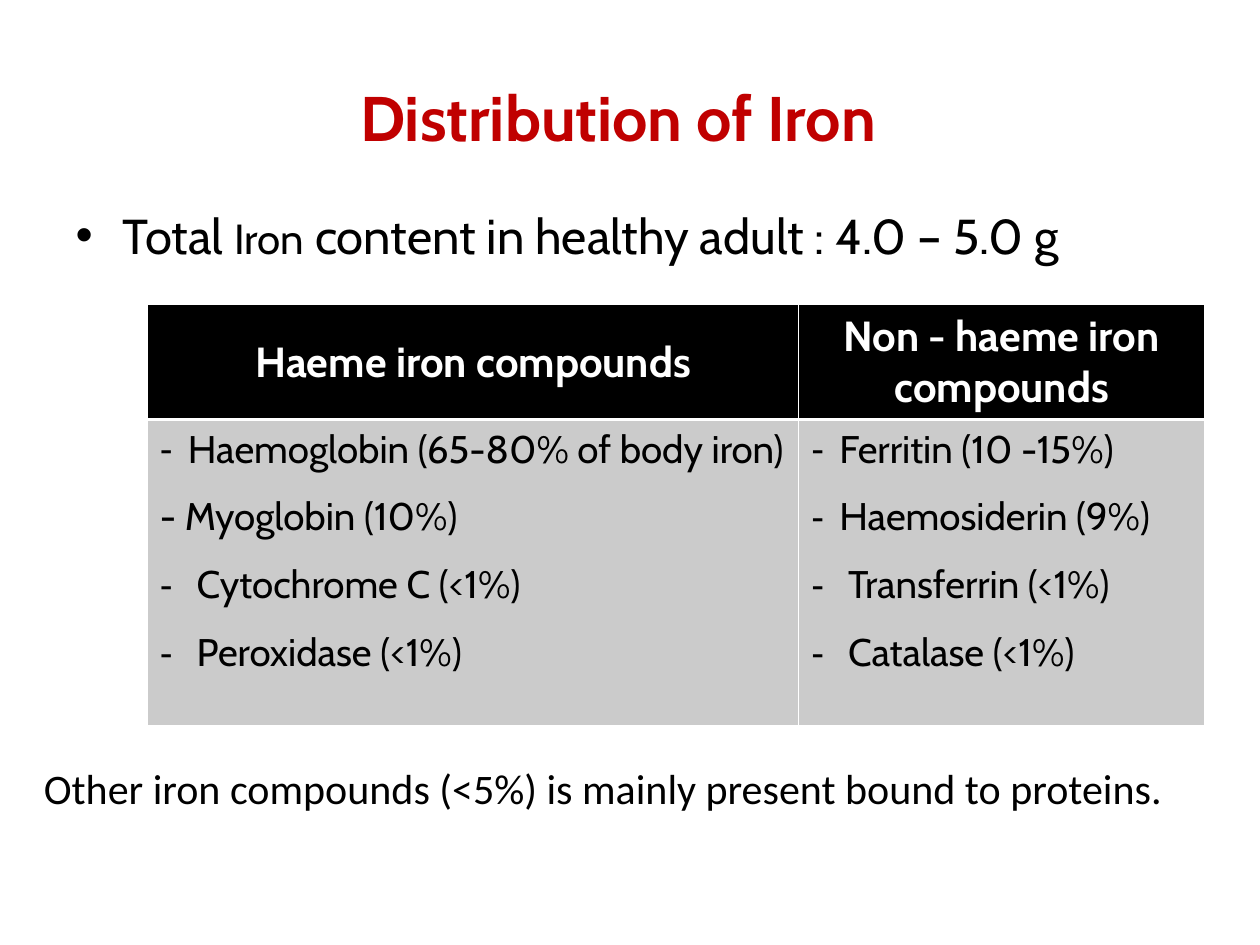
from lxml import etree
from pptx import Presentation
from pptx.dml.color import RGBColor
from pptx.enum.text import MSO_ANCHOR, MSO_AUTO_SIZE, PP_ALIGN
from pptx.oxml.ns import qn
from pptx.util import Pt

CENTER, LEFT = PP_ALIGN.CENTER, PP_ALIGN.LEFT
TOP, MIDDLE = MSO_ANCHOR.TOP, MSO_ANCHOR.MIDDLE
FIXED = MSO_AUTO_SIZE.NONE

HEADING = "Distribution of Iron"
TOTAL = [("Total ", 28), ("Iron", 24), (" content in healthy adult : 4.0 – 5.0 g", 28)]
COMPOUNDS = {
    "Haeme iron compounds": [
        ("-", "Haemoglobin (65-80% of body iron)"),
        ("", "- Myoglobin (10%)"),
        ("-", " Cytochrome C (<1%)"),
        ("-", " Peroxidase (<1%)"),
    ],
    "Non - haeme iron compounds": [
        ("-", "Ferritin (10 -15%)"),
        ("-", "Haemosiderin (9%)"),
        ("-", " Transferrin (<1%)"),
        ("-", " Catalase (<1%)"),
    ],
}
REMARK = "Other iron compounds (<5%) is mainly present bound to proteins."

HEADING_BOX = (-0.7, 21.6, 707.8, 90)
TOTAL_BOX = (36, 113.8, 671.8, 54)
REMARK_BOX = (18, 432, 653.8, 64.8)
TABLE_CORNER = (84.2, 174.2)
COLUMN_WIDTHS = (372.3, 231.8)
ROW_HEIGHTS = (64.8, 175)
THIN, THICK = 0.45, 1.47

HEADING_FONT = {"name": "Cabin", "size": 36, "bold": True, "color": "C00000"}
TOTAL_FONT = {"name": "Cabin", "bold": False, "color": "000000"}
HEADER_FONT = {"name": "Cabin", "size": 24, "bold": True, "color": "FFFFFF"}
ITEM_FONT = {"name": "Cabin", "size": 22, "bold": False, "color": "000000"}
REMARK_FONT = {"name": "Calibri", "size": 24, "bold": False, "color": "000000"}


def paint(color_format, color):
    """Give a colour format its hex colour."""
    color_format.rgb = RGBColor.from_string(color)


def style(font, values):
    """Set the font attributes listed in values."""
    for key, value in values.items():
        if key == "color":
            paint(font.color, value)
        else:
            setattr(font, key, Pt(value) if key == "size" else value)


def write(paragraph, text, values, align=LEFT):
    """Add one formatted run to a paragraph."""
    paragraph.alignment = align
    run = paragraph.add_run()
    run.text = text
    style(run.font, values)


def add_bullet(paragraph, mark, indent):
    """Hang a black bullet mark in front of a paragraph."""
    properties = paragraph._p.get_or_add_pPr()
    properties.set("marL", str(Pt(indent)))
    properties.set("indent", str(-Pt(indent)))
    color = etree.SubElement(properties, qn("a:buClr"))
    etree.SubElement(color, qn("a:srgbClr"), val="000000")
    etree.SubElement(properties, qn("a:buFont"), typeface="Arial")
    etree.SubElement(properties, qn("a:buChar"), char=mark)


def place(shape, box, anchor):
    """Move a text shape to its box and return its text frame."""
    for side, value in zip(("left", "top", "width", "height"), box):
        setattr(shape, side, Pt(value))
    frame = shape.text_frame
    for key, value in {"word_wrap": True, "auto_size": FIXED, "vertical_anchor": anchor}.items():
        setattr(frame, key, value)
    return frame


def finish_cell(cell, fill, borders, anchor):
    """Give a cell white borders, a fill and an anchor."""
    properties = cell._tc.get_or_add_tcPr()
    for side, width in borders.items():
        line = etree.SubElement(properties, qn(f"a:ln{side}"), w=str(Pt(width)))
        solid = etree.SubElement(line, qn("a:solidFill"))
        etree.SubElement(solid, qn("a:srgbClr"), val="FFFFFF")
    cell.fill.solid()
    paint(cell.fill.fore_color, fill)
    cell.vertical_anchor = anchor


def add_compounds(slide):
    """Add the table with one column for each group of compounds."""
    size = (sum(COLUMN_WIDTHS), sum(ROW_HEIGHTS))
    table = slide.shapes.add_table(2, len(COMPOUNDS), *map(Pt, TABLE_CORNER + size)).table
    for row, height in zip(table.rows, ROW_HEIGHTS):
        row.height = Pt(height)
    for index, (group, items) in enumerate(COMPOUNDS.items()):
        table.columns[index].width = Pt(COLUMN_WIDTHS[index])
        header, body = table.cell(0, index), table.cell(1, index)
        write(header.text_frame.paragraphs[0], group, HEADER_FONT, CENTER)
        finish_cell(header, "000000", {"L": THIN, "R": THIN, "T": THIN, "B": THICK}, MIDDLE)
        for number, (mark, item) in enumerate(items):
            frame = body.text_frame
            paragraph = frame.add_paragraph() if number else frame.paragraphs[0]
            if mark:
                add_bullet(paragraph, mark, 16)
            paragraph.space_before = Pt(6 if number else 0)
            paragraph.space_after = Pt(6)
            write(paragraph, item, ITEM_FONT)
        finish_cell(body, "CBCBCB", {"L": THIN, "R": THIN, "T": THICK, "B": THIN}, TOP)


def main():
    """Build the slide and save it."""
    deck = Presentation()
    deck.slide_width, deck.slide_height = Pt(720), Pt(540)
    slide = deck.slides.add_slide(deck.slide_layouts[1])

    total = place(slide.placeholders[1], TOTAL_BOX, TOP).paragraphs[0]
    add_bullet(total, "•", 27)
    total.space_before = Pt(0)
    for text, size in TOTAL:
        write(total, text, {**TOTAL_FONT, "size": size})

    heading = place(slide.shapes.title, HEADING_BOX, MIDDLE)
    write(heading.paragraphs[0], HEADING, HEADING_FONT, CENTER)

    add_compounds(slide)

    remark = place(slide.shapes.add_textbox(*map(Pt, REMARK_BOX)), REMARK_BOX, TOP)
    write(remark.paragraphs[0], REMARK, REMARK_FONT)
    deck.save("out.pptx")


if __name__ == "__main__":
    main()
